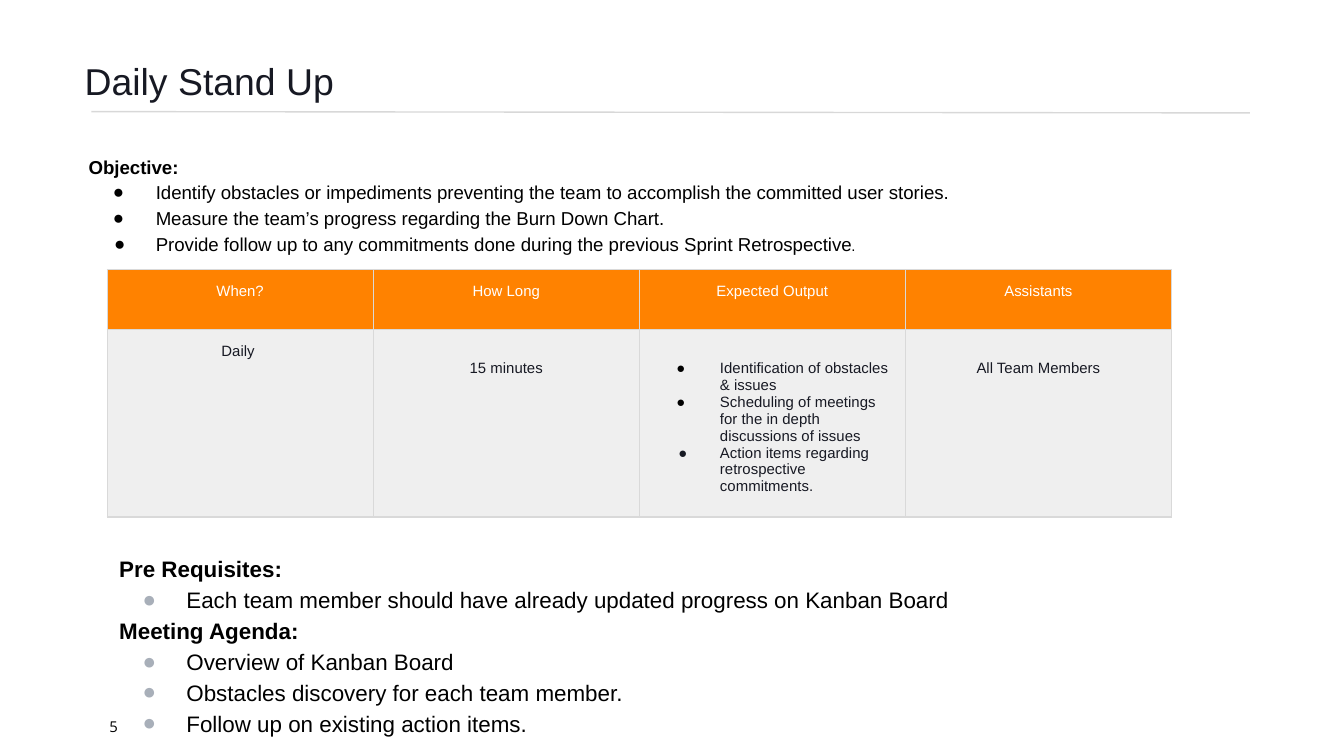
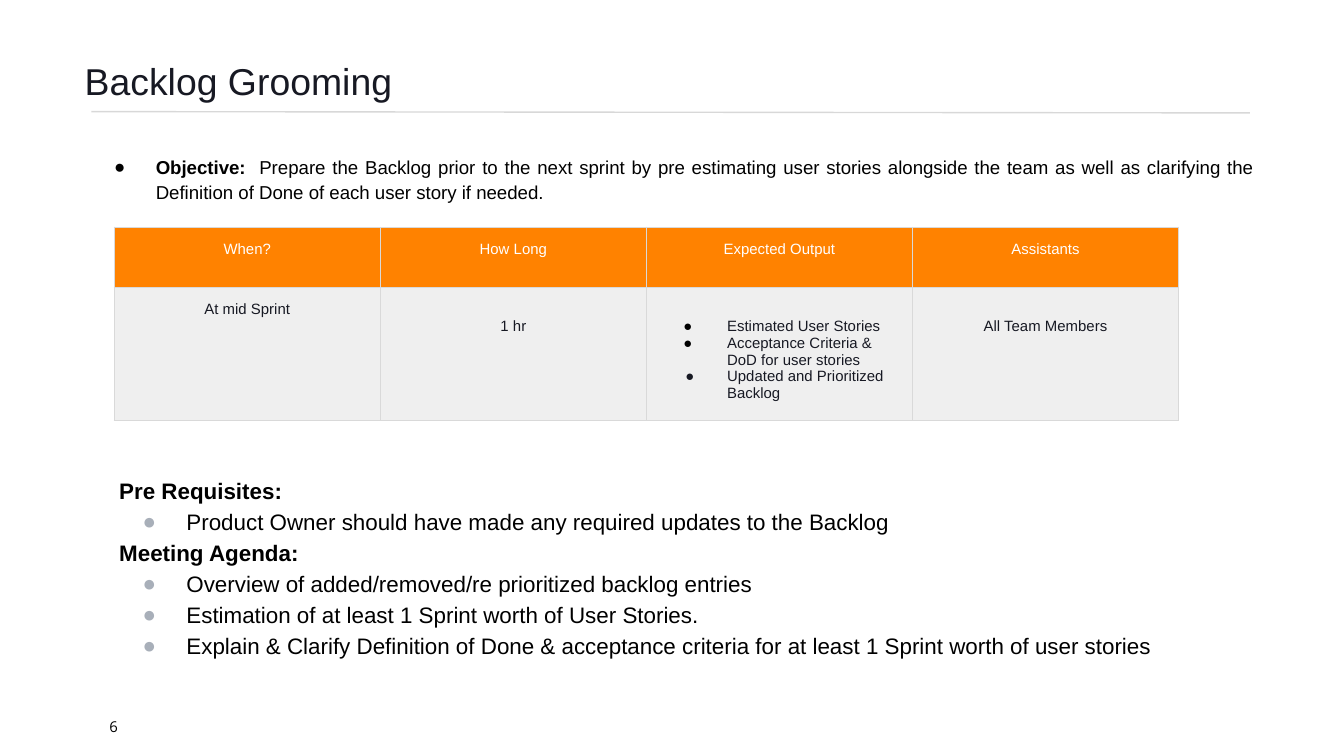
from lxml.etree import SubElement as Sub
from pptx import Presentation
from pptx.dml.color import RGBColor as RGB
from pptx.enum.shapes import MSO_CONNECTOR as Conn
from pptx.enum.text import MSO_ANCHOR as Anchor, PP_ALIGN as Align
from pptx.oxml.ns import qn
from pptx.util import Pt

# Colours and fonts
INK = RGB(0x17, 0x19, 0x23)
BLACK = RGB(0, 0, 0)
WHITE = RGB(255, 255, 255)
ORANGE = RGB(0xFF, 0x82, 0x00)
PALE = RGB(0xEF, 0xEF, 0xEF)
RULE = RGB(0xD8, 0xD8, 0xD8)
EDGE = RGB(0xD9, 0xD9, 0xD9)
DOT = RGB(0xA8, 0xAF, 0xB9)
SANS, NUM = "Arial", "Open Sans"

# Shared measures
COL, HEAD_H, PAD = 142.56, 32.15, 7.2
LINE = 9.2              # one line of table text
INDENT = 36
WIDE, SLIM = 23.4, 22.3  # bullet hangs

# Content: a paragraph is (hang, runs), a run is (text, size, bold)
HEADS = ["When?", "How Long", "Expected Output", "Assistants"]
TEAM = "All Team Members"
SLIDES = [
    dict(
        title="Daily Stand Up", page="5",
        goal=[
            (0, [("Objective: ", 10, True)]),
            (23, [("Identify obstacles or impediments preventing the team to "
                   "accomplish the committed user stories. ", 10, False)]),
            (23, [("Measure the team’s progress regarding the Burn Down "
                   "Chart. ", 10, False)]),
            (SLIM, [("Provide follow up to any commitments done during the "
                     "previous Sprint Retrospective", 10, False),
                    (". ", 8, False)]),
        ],
        grid=(57.4, 144.5, 95.4),
        when="Daily ", span="15 minutes",
        output=["Identification of obstacles & issues",
                "Scheduling of meetings for the in depth discussions of issues",
                "Action items regarding retrospective commitments."],
        plan_top=292.3,
        needs=["Each team member should have already updated progress on "
               "Kanban Board"],
        agenda=["Overview of Kanban Board",
                "Obstacles discovery for each team member.",
                "Follow up on existing action items. "],
    ),
    dict(
        title="Backlog Grooming", page="6",
        goal=[
            (SLIM, [("Objective: ", 10, True),
                    (" Prepare the Backlog prior to the next sprint by pre "
                     "estimating user stories alongside the team as well as "
                     "clarifying the Definition of Done of each user story if "
                     "needed. ", 10, False)]),
        ],
        grid=(61.2, 121.7, 68.6),
        when="At mid Sprint", span="1 hr",
        output=["Estimated User Stories",
                "Acceptance Criteria & DoD for user stories",
                "Updated and Prioritized Backlog"],
        plan_top=250.6,
        needs=["Product Owner should have made any required updates to the "
               "Backlog"],
        agenda=["Overview of added/removed/re prioritized backlog entries ",
                "Estimation of at least 1 Sprint worth of User Stories.",
                "Explain & Clarify Definition of Done & acceptance criteria "
                "for at least 1 Sprint worth of user stories"],
    ),
]


def put(para, text, size, color, bold=False, font=SANS):
    run = para.add_run()
    run.text = text
    face = run.font
    face.size, face.bold, face.name = Pt(size), bold, font
    face.color.rgb = color


def dot(para, hang, color):
    props = para._p.get_or_add_pPr()
    props.set("marL", str(Pt(INDENT)))
    props.set("indent", str(-Pt(hang)))
    tint = Sub(props, qn("a:buClr"))
    Sub(tint, qn("a:srgbClr"), val=str(color))
    Sub(props, qn("a:buFont"), typeface=SANS)
    Sub(props, qn("a:buChar"), char="●")


def paras(frame, count):
    return [frame.paragraphs[0]] + [frame.add_paragraph()
                                    for _ in range(count - 1)]


def box(slide, left, top, width, height, anchor=Anchor.TOP):
    frame = slide.shapes.add_textbox(
        Pt(left), Pt(top), Pt(width), Pt(height)).text_frame
    frame.word_wrap = True
    frame.vertical_anchor = anchor
    frame.margin_left = frame.margin_right = Pt(6.5)
    frame.margin_top = frame.margin_bottom = Pt(3)
    return frame


def body(slide, left, top, items, color):
    frame = box(slide, left, top, 636.5, 19.4)
    for para, (hang, runs) in zip(paras(frame, len(items)), items):
        para.alignment = Align.JUSTIFY
        para.line_spacing = 1.15
        if hang:
            dot(para, hang, color)
        for text, size, bold in runs:
            put(para, text, size, BLACK, bold)


def base(slide, title, page):
    # Rule, title and page number
    rule = slide.shapes.add_connector(
        Conn.STRAIGHT, Pt(49), Pt(59.8), Pt(669.6), Pt(60.5))
    rule.line.color.rgb = RULE
    rule.line.width = Pt(0.75)
    Sub(rule._element.spPr, qn("a:effectLst"))
    para = box(slide, 38.9, 20.2, 638.6, 38.2, Anchor.BOTTOM).paragraphs[0]
    para.line_spacing = 0.9
    put(para, title, 20, INK)
    para = box(slide, 45.4, 381.6, 31, 13.7).paragraphs[0]
    para.alignment = Align.CENTER
    put(para, page, 8, BLACK, font=NUM)


def style(cell, fill, drop):
    cell.margin_left = cell.margin_right = cell.margin_bottom = Pt(PAD)
    cell.margin_top = Pt(PAD + drop)
    props = cell._tc.get_or_add_tcPr()
    for side in ("lnL", "lnR", "lnT", "lnB"):
        edge = Sub(props, qn("a:" + side), w=str(Pt(0.75)))
        paint = Sub(edge, qn("a:solidFill"))
        Sub(paint, qn("a:srgbClr"), val=str(EDGE))
    cell.fill.solid()
    cell.fill.fore_color.rgb = fill


def grid(slide, data):
    left, top, tall = data["grid"]
    rows = [HEADS, [data["when"], data["span"], data["output"], TEAM]]
    table = slide.shapes.add_table(
        2, len(HEADS), Pt(left), Pt(top), Pt(COL * len(HEADS)),
        Pt(HEAD_H + tall)).table
    for col in table.columns:
        col.width = Pt(COL)
    for r, (row, high) in enumerate(zip(rows, (HEAD_H, tall))):
        table.rows[r].height = Pt(high)
        for c, text in enumerate(row):
            cell = table.cell(r, c)
            # Body cells after the first start one line lower
            style(cell, PALE if r else ORANGE, LINE if r and c else 0)
            many = isinstance(text, list)
            lines = text if many else [text]
            for n, para in enumerate(paras(cell.text_frame, len(lines))):
                if many:
                    last = n == len(lines) - 1
                    dot(para, SLIM if last else WIDE, INK if last else BLACK)
                else:
                    para.alignment = Align.CENTER
                put(para, lines[n], 8, INK if r else WHITE)


def plan(data):
    items = []
    for head, key in (("Pre Requisites:", "needs"),
                      ("Meeting Agenda:", "agenda")):
        items.append((0, [(head, 12, True)]))
        items += [(WIDE, [(text, 12, False)]) for text in data[key]]
    return items


def main():
    deck = Presentation()
    deck.slide_width, deck.slide_height = Pt(720), Pt(405)
    for data in SLIDES:
        slide = deck.slides.add_slide(deck.slide_layouts[6])
        base(slide, data["title"], data["page"])
        body(slide, 41, 78.5, data["goal"], BLACK)
        grid(slide, data)
        body(slide, 57.4, data["plan_top"], plan(data), DOT)
    deck.save("out.pptx")


if __name__ == "__main__":
    main()
